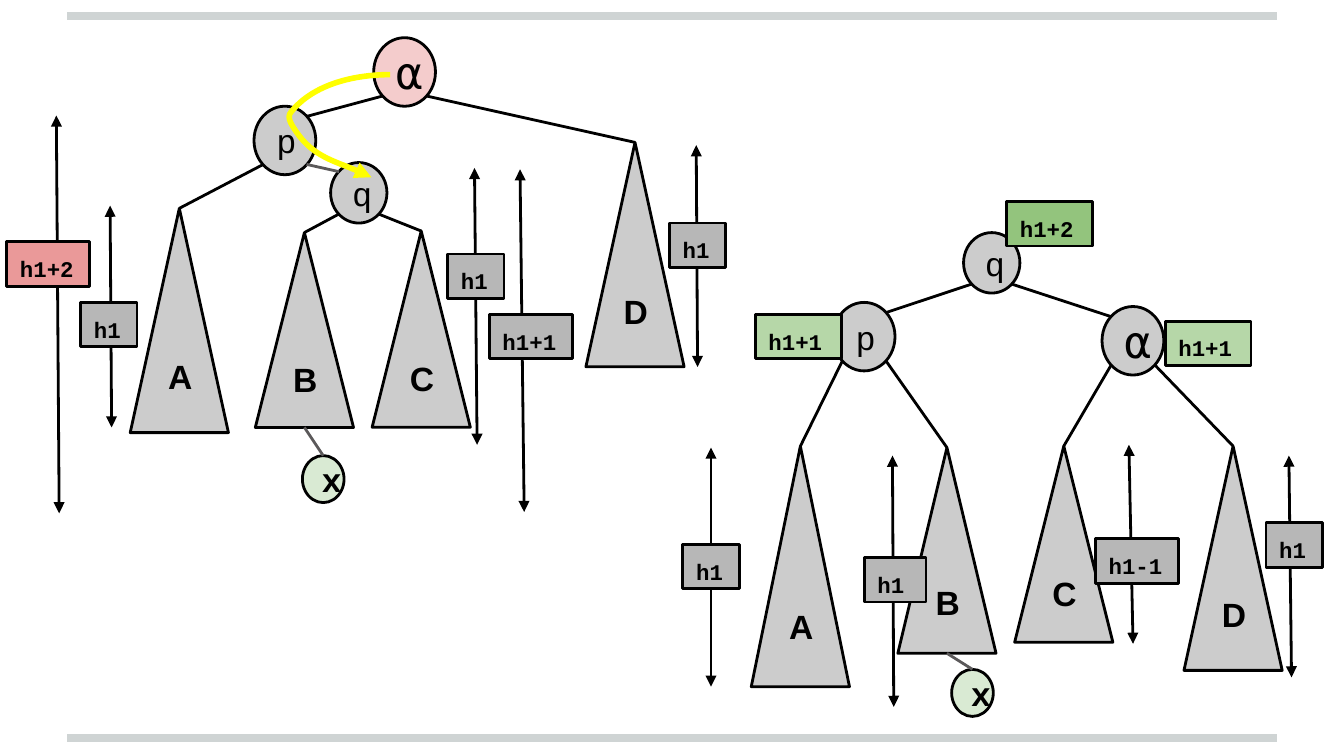
from pptx import Presentation
from pptx.dml.color import RGBColor
from pptx.enum.shapes import MSO_CONNECTOR, MSO_SHAPE
from pptx.enum.text import MSO_ANCHOR, PP_ALIGN
from pptx.oxml.ns import qn
from pptx.util import Pt
from lxml.etree import SubElement

BLACK, GREY, DARK, PINK = "000000", "CCCCCC", "5B595A", "F4CCCC"
MONO = "Courier New"
RULES = [8.64, 395.3]
KINDS = {"⍺": (33.1, 36.7, 24), "p": (33.1, 36.7, 18),
         "q": (30.2, 32.4, 18), "x": (22.3, 25.2, 18)}
TREES = [
    {"nodes": [("⍺", 200.2, 20.2, PINK), ("q", 177.1, 87.1, GREY),
               ("p", 136.1, 56.9, GREY), ("x", 162, 244.1, "D9EAD3")],
     "tris": [("A", 69.8, 111.6, 120.2), ("B", 136.8, 124.6, 104.4),
              ("C", 199.4, 123.8, 105.1), ("D", 313.9, 76.3, 120.2)],
     "edges": [("q", "bl", "B", "t", BLACK), ("q", "br", "C", "t", BLACK),
               ("p", "bl", "A", "t", BLACK), ("p", "tr", "⍺", "bl", BLACK),
               ("⍺", "br", "D", "t", BLACK), ("B", "b", "x", "t", DARK),
               ("p", "br", "q", "tl", DARK)]},
    {"nodes": [("q", 516.2, 124.6, GREY), ("p", 446.4, 162, GREY),
               ("⍺", 590.4, 164.2, GREY), ("x", 509.8, 358.6, "D9EAD3")],
     "tris": [("A", 402.5, 239, 128.9), ("B", 481, 239.8, 110.2),
              ("C", 543.6, 239, 105.1), ("D", 634.3, 239, 120.2)],
     "edges": [("p", "bl", "A", "t", BLACK), ("p", "br", "B", "t", BLACK),
               ("p", "tr", "q", "bl", BLACK), ("q", "br", "⍺", "tl", BLACK),
               ("⍺", "bl", "C", "t", BLACK), ("⍺", "br", "D", "t", BLACK),
               ("x", "t", "B", "b", DARK)]},
]
SPANS = [
    (59, 110.2, 59.8, 229), (254.2, 90, 255.6, 238.3),
    (278.6, 90.7, 280.8, 274.3), (30.2, 61.9, 31.7, 275),
    (373, 77.8, 373.7, 196.6), (380.9, 239.8, 380.9, 367.9),
    (478.1, 244.1, 478.8, 378.7), (604.8, 238.3, 607, 344.9),
    (690.5, 244.1, 691.9, 362.9),
]
TAGS = [
    ("h1", 43.2, 162, 30.2, "B7B7B7"), ("h1", 239.8, 136.1, 30.2, "B7B7B7"),
    ("h1+1", 262.1, 168.5, 44.6, "B7B7B7"), ("h1+2", 3.6, 129.6, 44.6, "EA9999"),
    ("h1", 358.6, 119.5, 30.2, "B7B7B7"), ("h1", 365.8, 291.6, 30.2, "B7B7B7"),
    ("h1", 463, 298.8, 33.1, "B7B7B7"), ("h1-1", 586.8, 288.7, 44.6, "B7B7B7"),
    ("h1+1", 404.6, 168.5, 46.1, "B6D7A8"), ("h1", 678.2, 280.1, 30.2, "B7B7B7"),
    ("h1+1", 624.2, 172.1, 46.1, "B6D7A8"), ("h1+2", 539.3, 108, 46.1, "93C47D"),
]
CURVE = [(208.8, 39.6), (190.1, 39.6), (168.5, 45.4), (155.5, 59.8),
         (152.6, 62.6), (157, 67.7), (159.1, 71.3),
         (167.8, 84.2), (185, 87.8), (198.7, 95)]
SIDES = {"t": (.5, 0), "b": (.5, 1), "tl": (.15, .15), "tr": (.85, .15),
         "bl": (.15, .85), "br": (.85, .85)}

deck = Presentation()
deck.slide_width, deck.slide_height = Pt(720), Pt(405)
slide = deck.slides.add_slide(deck.slide_layouts[6])
shapes = slide.shapes


def color(code):
    return RGBColor.from_string(code)


def write(shape, text, font=MONO, size=18, bold=False, align=PP_ALIGN.LEFT,
          anchor=MSO_ANCHOR.MIDDLE):
    frame = shape.text_frame
    frame.word_wrap = True
    frame.vertical_anchor = anchor
    frame.margin_left = frame.margin_right = Pt(7.2)
    frame.margin_top = frame.margin_bottom = Pt(7.2)
    para = frame.paragraphs[0]
    para.alignment = align
    run = para.add_run()
    run.text = text
    run.font.name, run.font.size, run.font.bold = font, Pt(size), bold
    run.font.color.rgb = color(BLACK)


def draw(kind, box, fill):
    shape = shapes.add_shape(kind, *map(Pt, box))
    shape.shadow.inherit = False
    shape.fill.solid()
    shape.fill.fore_color.rgb = color(fill)
    shape.line.color.rgb = color(BLACK)
    shape.line.width = Pt(1.5)
    return shape


def point(shape, ends):
    line = shape.line._get_or_add_ln()
    for end in ends:
        SubElement(line, qn(f"a:{end}End"), type="triangle")


def link(start, stop, code=BLACK, width=1.5, ends=()):
    line = shapes.add_connector(MSO_CONNECTOR.STRAIGHT, *map(Pt, start + stop))
    line.line.color.rgb = color(code)
    line.line.width = Pt(width)
    point(line, ends)
    SubElement(line._element.spPr, qn("a:effectLst"))


def site(box, side):
    x, y, w, h = box
    dx, dy = SIDES[side]
    return x + dx * w, y + dy * h


def tree(nodes, tris, edges):
    boxes = {}
    for name, x, y, fill in nodes:
        w, h, size = KINDS[name]
        boxes[name] = x, y, w, h
        leaf = name == "x"
        write(draw(MSO_SHAPE.OVAL, boxes[name], fill), name, size=size, bold=leaf,
              align=PP_ALIGN.LEFT if leaf else PP_ALIGN.CENTER)
    for name, x, y, h in tris:
        boxes[name] = x, y, 52.6, h
        shape = draw(MSO_SHAPE.ISOSCELES_TRIANGLE, boxes[name], GREY)
        write(shape, name, font="Arial", bold=True)
    for one, side, two, other, code in edges:
        link(site(boxes[one], side), site(boxes[two], other), code)


def bend(spots):
    pen = shapes.build_freeform(*spots[0], scale=12700)
    pen.add_line_segments(spots[1:], close=False)
    shape = pen.convert_to_shape()
    shape.shadow.inherit = False
    shape.fill.background()
    shape.line.color.rgb = color("FFFF00")
    shape.line.width = Pt(3)
    point(shape, ["tail"])
    steps = shape._element.xpath(".//a:lnTo")
    root = steps[0].getparent()
    for i in range(0, len(steps), 3):
        cubic = SubElement(root, qn("a:cubicBezTo"))
        for step in steps[i:i + 3]:
            cubic.append(step[0])
            root.remove(step)


for y in RULES:
    link((36, y), (684, y), "CFD4D4", 4)
for part in TREES:
    tree(**part)
for span in SPANS:
    link(span[:2], span[2:], ends=["head", "tail"])
bend(CURVE)
for text, x, y, w, fill in TAGS:
    write(draw(MSO_SHAPE.RECTANGLE, (x, y, w, 23.8), fill), text, size=12,
          bold=True, anchor=MSO_ANCHOR.TOP)

deck.save("out.pptx")
